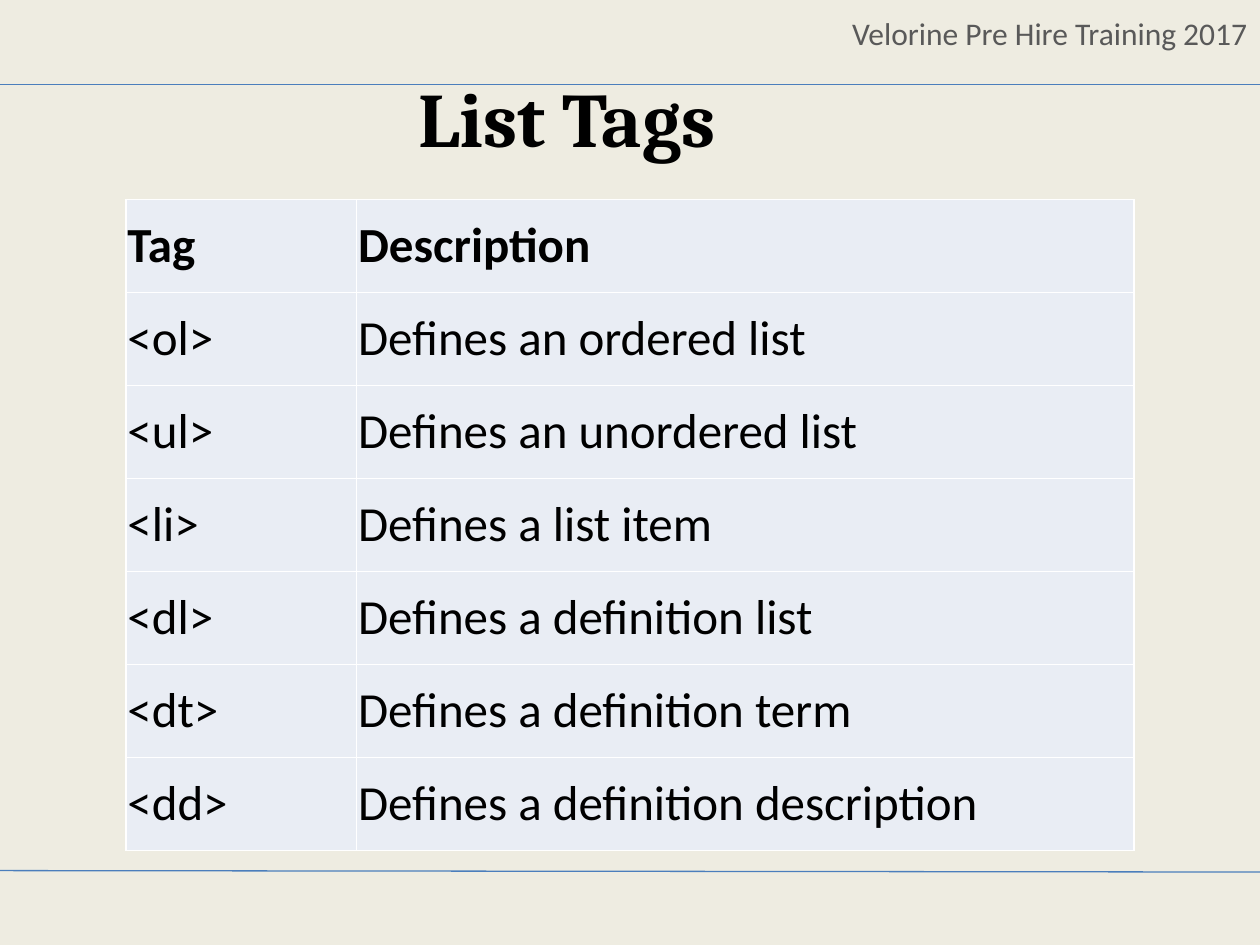
from lxml import etree
from pptx import Presentation
from pptx import util as u
from pptx.dml.color import RGBColor
from pptx.enum import shapes, text
from pptx.oxml import ns


def color(hex_value):
    return RGBColor.from_string(hex_value)


def style(paragraph, font, size, hex_value, bold=False):
    for run in paragraph.runs:
        run.font.name = font
        run.font.size = u.Pt(size)
        run.font.bold = bold
        run.font.color.rgb = color(hex_value)


deck = Presentation()
deck.slide_width = u.Cm(25.4)
deck.slide_height = u.Cm(19.05)
slide = deck.slides.add_slide(deck.slide_layouts[6])
slide.background.fill.solid()
slide.background.fill.fore_color.rgb = color("EEECE1")

for start, end in [(1.7, 1.7), (17.55, 17.58)]:
    rule = slide.shapes.add_connector(
        shapes.MSO_CONNECTOR.STRAIGHT, u.Cm(0), u.Cm(start), u.Cm(25.4), u.Cm(end))
    rule.line.color.rgb = color("4B7EBC")
    rule.line.width = u.Pt(0.75)
    etree.SubElement(rule._element.spPr, ns.qn("a:effectLst"))

course = slide.shapes.add_textbox(u.Cm(16.91), u.Cm(0.15), u.Cm(8.49), u.Cm(1.02)).text_frame
course.text = "Velorine Pre Hire Training 2017"
course.word_wrap = False
course.auto_size = text.MSO_AUTO_SIZE.SHAPE_TO_FIT_TEXT
course.paragraphs[0].alignment = text.PP_ALIGN.RIGHT
style(course.paragraphs[0], "Calibri", 18, "595959")

title = slide.shapes.add_textbox(u.Cm(0), u.Cm(0.76), u.Cm(22.86), u.Cm(3.18)).text_frame
title.text = "List Tags"
title.word_wrap = True
title.vertical_anchor = text.MSO_ANCHOR.MIDDLE
title.paragraphs[0].alignment = text.PP_ALIGN.CENTER
style(title.paragraphs[0], "Cambria", 44, "000000", True)

tags = [
    ("Tag", "Description"),
    ("<ol>", "Defines an ordered list"),
    ("<ul>", "Defines an unordered list"),
    ("<li>", "Defines a list item"),
    ("<dl>", "Defines a definition list"),
    ("<dt>", "Defines a definition term"),
    ("<dd>", "Defines a definition description"),
]
tag_table = slide.shapes.add_table(
    len(tags), 2, u.Cm(2.54), u.Cm(4.02), u.Cm(20.32), u.Cm(13.13)).table
tag_table.columns[0].width = u.Cm(4.65)
tag_table.columns[1].width = u.Cm(15.67)

for row, entry in enumerate(tags):
    for column, wording in enumerate(entry):
        cell = tag_table.cell(row, column)
        cell.text = wording
        cell.vertical_anchor = text.MSO_ANCHOR.MIDDLE
        cell.margin_left = cell.margin_right = u.Cm(0.03)
        cell.margin_top = cell.margin_bottom = u.Cm(0.03)
        paragraph = cell.text_frame.paragraphs[0]
        paragraph.space_before = paragraph.space_after = u.Pt(6.6)
        style(paragraph, "Calibri", 28, "000000", row == 0)
        cell_properties = cell._tc.get_or_add_tcPr()
        for side in ("lnL", "lnR", "lnT", "lnB"):
            border = etree.SubElement(cell_properties, ns.qn("a:" + side), w=str(u.Pt(1)))
            border_fill = etree.SubElement(border, ns.qn("a:solidFill"))
            etree.SubElement(border_fill, ns.qn("a:srgbClr"), val="FFFFFF")
        cell.fill.solid()
        cell.fill.fore_color.rgb = color("E9EDF4")

deck.save("out.pptx")
